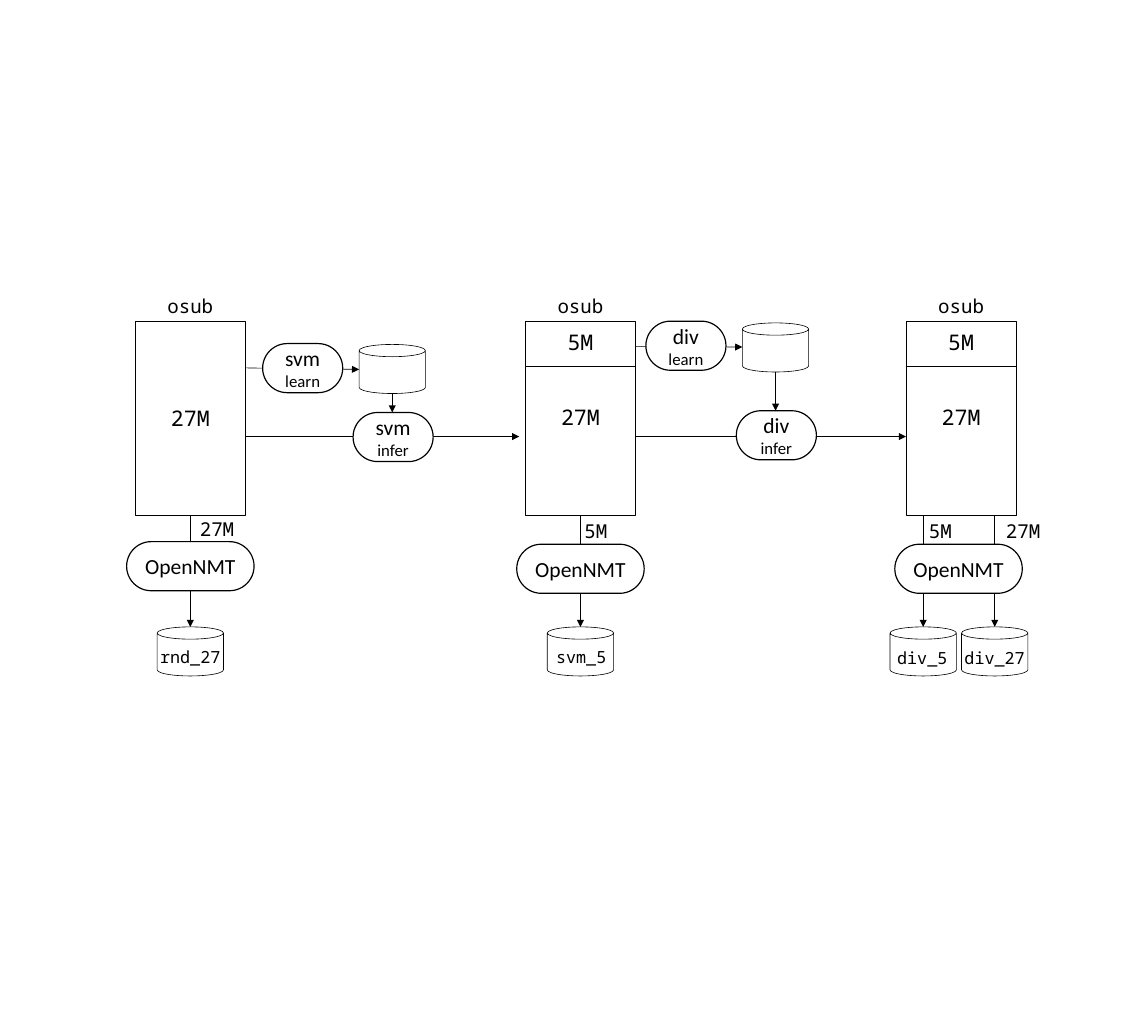
"""Build the corpus filtering and training pipeline diagram."""
from dataclasses import dataclass

from lxml.etree import SubElement
from pptx import Presentation
from pptx.dml.color import RGBColor
from pptx.enum.shapes import MSO_CONNECTOR, MSO_SHAPE as SHAPE
from pptx.enum.text import MSO_ANCHOR, PP_ALIGN
from pptx.oxml.ns import qn
from pptx.util import Inches, Pt


@dataclass(frozen=True)
class Theme:
    ink: RGBColor = RGBColor(0, 0, 0)
    paper: RGBColor = RGBColor(255, 255, 255)
    sans: str = "Calibri"
    mono: str = "Noto Sans Mono"
    large: int = 18
    label: int = 16
    small: int = 14
    thin: float = 0.5
    bold: float = 1


T = Theme()

CORPUS_W, CORPUS_H, CORPUS_TOP, SPLIT = 1.28, 2.25, 3.73, 4.25
CORPUS_BOTTOM = CORPUS_TOP + CORPUS_H
STEP_W, TRAINER_W, PILL_H = 0.93, 1.48, 0.57
CAN_W, CAN_H, MODEL_TOP = 0.77, 0.57, 7.28
PART_GAP, PART_SHIFT = 41, 0.9

CORPORA = [
    (1.57, ["27M"]),
    (6.10, ["5M", "27M"]),
    (10.52, ["5M", "27M"]),
]
FLOWS = [
    (2.83, 5.07, 6.03, 5.07),
    (2.65, 4.27, 4.17, 4.29),
    (7.31, 5.07, 10.52, 5.07),
    (7.10, 4.02, 8.62, 4.03),
]
STEPS = [
    ("svm", "learn", 3.05, 3.99),
    ("svm", "infer", 4.10, 4.79),
    ("div", "learn", 7.50, 3.73),
    ("div", "infer", 8.55, 4.77),
]
CLASSIFIERS = [
    (4.17, 4.00, 4.79, T.thin),
    (8.62, 3.75, 4.77, T.bold),
]
TRAINERS = [(1.47, 6.29), (6.00, 6.32), (10.39, 6.32)]
MODELS = [
    ("rnd_27", 2.21, 2.21, 7.63),
    ("svm_5", 6.74, 6.75, 7.63),
    ("div_5", 10.72, 10.71, 7.64),
    ("div_27", 11.55, 11.55, 7.64),
]
AMOUNTS = [
    ("27M", 2.52, 6.14),
    ("5M", 6.92, 6.16),
    ("5M", 10.92, 6.16),
    ("27M", 11.88, 6.16),
]


def write(sp, lines, font):
    tf = sp.text_frame
    tf.vertical_anchor = MSO_ANCHOR.MIDDLE
    for i, (text, size) in enumerate(lines):
        p = tf.add_paragraph() if i else tf.paragraphs[0]
        p.alignment = PP_ALIGN.CENTER
        r = p.add_run()
        r.text = text
        r.font.name, r.font.size = font, Pt(size)
        r.font.color.rgb = T.ink
    return tf


def add_block(shapes, kind, x, y, w, h, weight):
    sp = shapes.add_shape(kind, Inches(x), Inches(y), Inches(w), Inches(h))
    sp.shadow.inherit = False
    sp.fill.solid()
    sp.fill.fore_color.rgb = T.paper
    sp.line.color.rgb = T.ink
    sp.line.width = Pt(weight)
    return sp


def add_pill(shapes, x, y, w, lines):
    sp = add_block(shapes, SHAPE.ROUNDED_RECTANGLE, x, y, w, PILL_H, T.bold)
    sp.adjustments[0] = 0.5
    write(sp, lines, T.sans)


def add_line(shapes, x1, y1, x2, y2, weight=T.thin, arrow=True):
    c = shapes.add_connector(MSO_CONNECTOR.STRAIGHT, Inches(x1), Inches(y1), Inches(x2), Inches(y2))
    c.line.color.rgb = T.ink
    c.line.width = Pt(weight)
    if arrow:
        SubElement(c.line._get_or_add_ln(), qn("a:tailEnd"), type="triangle")
    SubElement(c._element.spPr, qn("a:effectLst"))


def add_label(shapes, text, cx, cy, size):
    w, h = 0.9, 0.36
    sp = shapes.add_textbox(Inches(cx - w / 2), Inches(cy - h / 2), Inches(w), Inches(h))
    write(sp, [(text, size)], T.mono).word_wrap = False


def add_corpus(shapes, x, parts):
    group = shapes.add_group_shape().shapes
    sp = add_block(group, SHAPE.RECTANGLE, x, CORPUS_TOP, CORPUS_W, CORPUS_H, T.thin)
    tf = write(sp, [(part, T.large) for part in parts], T.mono)
    add_label(group, "osub", x + CORPUS_W / 2, CORPUS_TOP - 0.18, T.label)
    if len(parts) > 1:
        tf.margin_bottom = tf.margin_top + Inches(PART_SHIFT)
        tf.paragraphs[1].space_before = Pt(PART_GAP)
        add_line(group, x, SPLIT, x + CORPUS_W, SPLIT, arrow=False)


def main():
    prs = Presentation()
    prs.slide_width, prs.slide_height = Inches(13.33), Inches(11.81)
    shapes = prs.slides.add_slide(prs.slide_layouts[6]).shapes

    for flow in FLOWS:
        add_line(shapes, *flow)
    for _, cx, _, _ in MODELS:
        add_line(shapes, cx, CORPUS_BOTTOM, cx, MODEL_TOP)
    for x, parts in CORPORA:
        add_corpus(shapes, x, parts)
    for name, action, x, y in STEPS:
        add_pill(shapes, x, y, STEP_W, [(name, T.large), (action, T.small)])
    for x, y, infer_top, weight in CLASSIFIERS:
        add_block(shapes, SHAPE.CAN, x, y, CAN_W, CAN_H, T.thin)
        cx = x + CAN_W / 2
        add_line(shapes, cx, y + CAN_H, cx, infer_top, weight)
    for x, y in TRAINERS:
        add_pill(shapes, x, y, TRAINER_W, [("OpenNMT", T.large)])
    for name, cx, label_cx, label_cy in MODELS:
        add_block(shapes, SHAPE.CAN, cx - CAN_W / 2, MODEL_TOP, CAN_W, CAN_H, T.thin)
        add_label(shapes, name, label_cx, label_cy, T.small)
    for text, cx, cy in AMOUNTS:
        add_label(shapes, text, cx, cy, T.label)

    prs.save("out.pptx")


if __name__ == "__main__":
    main()
